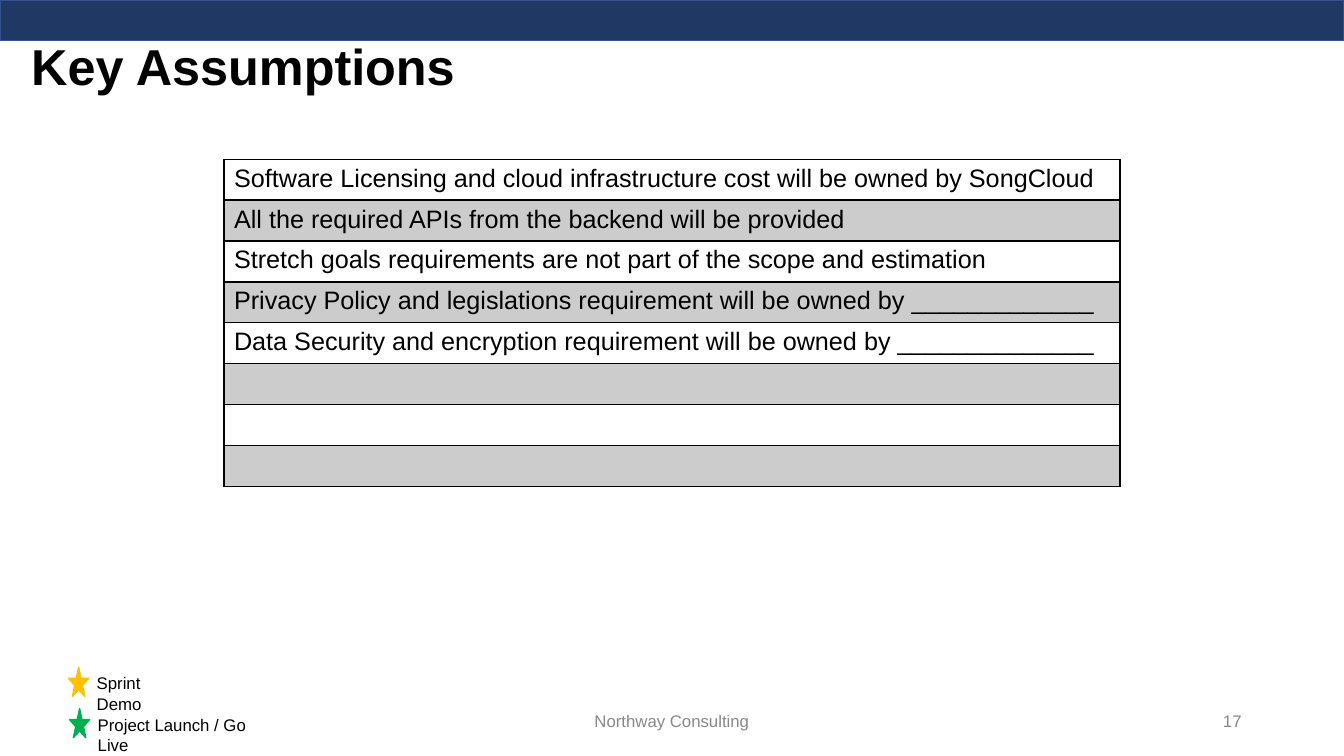
from pptx import Presentation
from pptx.dml.color import RGBColor
from pptx.enum.shapes import MSO_SHAPE
from pptx.enum.text import MSO_ANCHOR, MSO_AUTO_SIZE, PP_ALIGN
from pptx.oxml import parse_xml
from pptx.oxml.ns import nsdecls
from pptx.util import Pt

NAVY = RGBColor(0x1F, 0x38, 0x64)
BLUE = RGBColor(0x31, 0x53, 0x8F)
GOLD = RGBColor(0xFF, 0xC0, 0x00)
GREEN = RGBColor(0x00, 0xB0, 0x50)
BLACK = RGBColor(0x00, 0x00, 0x00)
WHITE = RGBColor(0xFF, 0xFF, 0xFF)
BAND = RGBColor(0xCC, 0xCC, 0xCC)
GREY = RGBColor(0x88, 0x88, 0x88)

SLIDE_W, SLIDE_H = 960, 540
ASSUMPTIONS = [
    "Software Licensing and cloud infrastructure cost will be owned by SongCloud",
    "All the required APIs from the backend will be provided",
    "Stretch goals requirements are not part of the scope and estimation",
    "Privacy Policy and legislations requirement will be owned by _____________",
    "Data Security and encryption requirement will be owned by ______________",
    "",
    "",
    "",
]
LEGEND = [
    ("Sprint Demo", GOLD, 0, 76.3),
    ("Project Launch / Go Live", GREEN, 0.7, 133.2),
]


def style(p, size, color, bold=False):
    """Set the font of a whole paragraph."""
    p.font.name = "Arial"
    p.font.size = Pt(size)
    p.font.bold = bold
    p.font.color.rgb = color


def add_filled(s, kind, x, y, w, h, fill, line):
    """Draw a flat preset shape with a one-point outline."""
    sp = s.shapes.add_shape(kind, Pt(x), Pt(y), Pt(w), Pt(h))
    sp.shadow.inherit = False
    sp.fill.solid()
    sp.fill.fore_color.rgb = fill
    sp.line.color.rgb = line
    sp.line.width = Pt(1)


def add_label(s, text, x, y, w, h, color=BLACK, align=PP_ALIGN.LEFT, anchor=MSO_ANCHOR.TOP):
    """Add a wrapped 12-point text box."""
    tf = s.shapes.add_textbox(Pt(x), Pt(y), Pt(w), Pt(h)).text_frame
    tf.word_wrap = True
    tf.vertical_anchor = anchor
    p = tf.paragraphs[0]
    p.text = text
    p.alignment = align
    style(p, 12, color)


def add_header(s, x, y, w):
    """Place the top bar and the title below it."""
    add_filled(s, MSO_SHAPE.RECTANGLE, x, y, w, 28.8, NAVY, BLUE)
    title = s.shapes.title
    title.left, title.top = Pt(x + 15.1), Pt(y + 26.6)
    title.width, title.height = Pt(846.7), Pt(46.8)
    tf = title.text_frame
    tf.auto_size = MSO_AUTO_SIZE.NONE
    tf.vertical_anchor = MSO_ANCHOR.TOP
    p = tf.paragraphs[0]
    p.text = "Key Assumptions"
    p.alignment = PP_ALIGN.LEFT
    p.line_spacing = 0.9
    style(p, 36, BLACK, bold=True)


def add_borders(cell, bottom):
    """Rule all four sides of a cell in black, one point except the bottom."""
    tcPr = cell._tc.get_or_add_tcPr()
    for i, (side, width) in enumerate([("L", 1), ("R", 1), ("T", 1), ("B", bottom)]):
        tcPr.insert(i, parse_xml(
            f'<a:ln{side} {nsdecls("a")} w="{Pt(width)}"><a:solidFill>'
            f'<a:srgbClr val="{BLACK}"/></a:solidFill></a:ln{side}>'))


def add_assumptions(s, x, y, w, h):
    """Fill the box with a banded one-column table."""
    n = len(ASSUMPTIONS)
    table = s.shapes.add_table(n, 1, Pt(x), Pt(y), Pt(w), Pt(h)).table
    table.first_row = False
    table.horz_banding = False
    for i, text in enumerate(ASSUMPTIONS):
        table.rows[i].height = Pt(h / n)
        cell = table.cell(i, 0)
        cell.fill.solid()
        cell.fill.fore_color.rgb = BAND if i % 2 else WHITE
        p = cell.text_frame.paragraphs[0]
        p.text = text
        style(p, 18, BLACK)
        add_borders(cell, 2 if i == 0 else 1)


def add_legend(s, x, y, step):
    """Stack the star markers with their labels."""
    for i, (text, color, indent, w) in enumerate(LEGEND):
        left, top = x + indent, y + i * step
        add_filled(s, MSO_SHAPE.STAR_5_POINT, left, top, 14.4, 20.9, color, color)
        add_label(s, text, left + 13, top + 0.7, w, 21.6)


def add_footer(s, y, h):
    """Add the centred company name and the page number."""
    add_label(s, "Northway Consulting", 318, y, 324, h, GREY, PP_ALIGN.CENTER, MSO_ANCHOR.MIDDLE)
    add_label(s, "17", 678, y, 216, h, GREY, PP_ALIGN.RIGHT, MSO_ANCHOR.MIDDLE)


def main():
    """Build and save the slide."""
    prs = Presentation()
    prs.slide_width, prs.slide_height = Pt(SLIDE_W), Pt(SLIDE_H)
    s = prs.slides.add_slide(prs.slide_layouts[5])
    add_footer(s, 500.5, 28.8)
    add_header(s, 0, 0, SLIDE_W)
    add_legend(s, 49, 476.6, 29.5)
    add_assumptions(s, 160, 113.8, 640, 233.6)
    prs.save("out.pptx")


if __name__ == "__main__":
    main()
